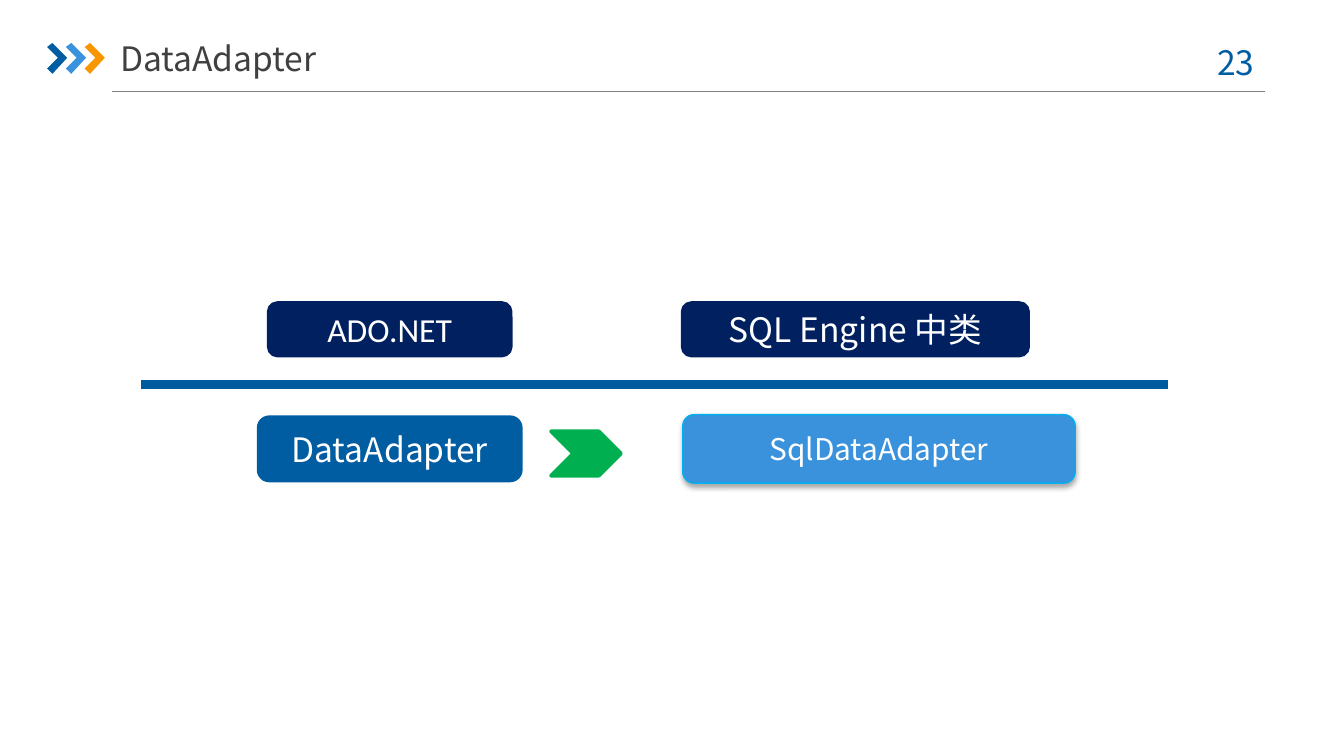
from pptx import Presentation
from pptx.dml.color import RGBColor
from pptx.enum.shapes import MSO_CONNECTOR as Conn, MSO_SHAPE as Shape
from pptx.enum.text import MSO_ANCHOR as Anchor, MSO_AUTO_SIZE as Auto, PP_ALIGN as Align
from pptx.oxml.ns import qn
from pptx.util import Inches, Pt
from lxml.etree import SubElement

# Content
TITLE = "DataAdapter"
PAGE = "23"
SANS, LATIN = "Noto Sans CJK SC", "Calibri"
HEX = {"blue": "005DA2", "sky": "3992DB", "orange": "F79600", "navy": "002060",
       "green": "00B050", "cyan": "00B0F0", "rule": "005B9E", "gray": "808080",
       "ink": "404040", "white": "FFFFFF"}

# Columns and row centres of the comparison, in inches
LEFT, RIGHT = 2.9, 5.08      # left column centre, right column edge
HEAD, BODY = 2.45, 3.34

# text, left, row centre, width, height, fill, line, line width, font, size
BOXES = [
    ("DataAdapter", LEFT - 1.95 / 2, BODY, 1.95, 0.47, "blue", "blue", 2, SANS, 18),
    ("SqlDataAdapter", RIGHT, BODY, 2.92, 0.51, "sky", "cyan", 0.75, SANS, 16),
    ("ADO.NET", LEFT - 1.8 / 2, HEAD, 1.8, 0.39, "navy", "navy", 2, LATIN, 18),
    ("SQL Engine 中类", RIGHT, HEAD, 2.57, 0.39, "navy", "navy", 2, SANS, 18),
]
RULES = [(0.83, 9.41, 0.68, "gray", 0.75), (1.05, 8.69, 2.86, "rule", 4.5)]
MARKS = ["blue", "sky", "orange"]
MARK = [(0, 0.03), (0.04, 0), (0.15, 0.11), (0.04, 0.23), (0, 0.19), (0.08, 0.11)]


def color(name):
    return RGBColor.from_string(HEX[name])


def write(shape, text, size, tint, font=SANS):
    frame = shape.text_frame
    frame.text = text
    frame.auto_size = Auto.NONE
    frame.vertical_anchor = Anchor.MIDDLE
    para = frame.paragraphs[0]
    para.alignment = Align.CENTER
    run = para.runs[0]
    run.font.size, run.font.name = Pt(size), font
    run.font.color.rgb = color(tint)
    SubElement(run.font._element, qn("a:ea"), typeface=font)


def place(shape, *box):
    shape.left, shape.top, shape.width, shape.height = map(Inches, box)


def paint(shape, fill, line=None, width=0):
    shape.shadow.inherit = False
    shape.fill.solid()
    shape.fill.fore_color.rgb = color(fill)
    if line:
        shape.line.color.rgb = color(line)
        shape.line.width = Pt(width)
    else:
        shape.line.fill.background()


def drop(shape):
    """Soft shadow straight below the shape."""
    effects = shape._element.spPr.find(qn("a:effectLst"))
    outer = SubElement(effects, qn("a:outerShdw"), blurRad=str(Pt(3.1)),
                       dist=str(Pt(1.8)), dir="5400000", rotWithShape="0")
    black = SubElement(outer, qn("a:srgbClr"), val="000000")
    SubElement(black, qn("a:alpha"), val="35000")


# Wide 16:9 slide
deck = Presentation()
deck.slide_width = Inches(10)
deck.slide_height = deck.slide_width * 9 // 16
slide = deck.slides.add_slide(deck.slide_layouts[5])
shapes = slide.shapes

# Title and page number
title = shapes.title
place(title, 0.77, 0.22, 1.71, 0.42)
write(title, TITLE, 18, "ink")
title.text_frame.margin_left = title.text_frame.margin_right = 0
title.text_frame.word_wrap = False
page = shapes.add_textbox(0, 0, 0, 0)
place(page, 8.83, 0.26, 0.73, 0.4)
write(page, PAGE, 18, "blue")

# Three marks before the title
for i, tint in enumerate(MARKS):
    x, y = 0.35 + 0.14 * i, 0.32
    points = [(Inches(x + dx), Inches(y + dy)) for dx, dy in MARK]
    pen = shapes.build_freeform(*points[0])
    pen.add_line_segments(points[1:], close=True)
    paint(pen.convert_to_shape(), tint)

# Comparison boxes
for text, x, mid, w, h, fill, line, width, font, size in BOXES:
    box = shapes.add_shape(Shape.ROUNDED_RECTANGLE, 0, 0, 0, 0)
    place(box, x, mid - h / 2, w, h)
    paint(box, fill, line, width)
    write(box, text, size, "white", font)
    if fill == "sky":
        drop(box)

# Arrow from the general class to the specific one
arrow = shapes.add_shape(Shape.CHEVRON, 0, 0, 0, 0)
place(arrow, 4.1, 3.21, 0.52, 0.33)
paint(arrow, "green", "green", 2)

# Rules under the title and between the rows
for x1, x2, y, tint, width in RULES:
    rule = shapes.add_connector(Conn.STRAIGHT, Inches(x1), Inches(y), Inches(x2), Inches(y))
    rule.line.color.rgb = color(tint)
    rule.line.width = Pt(width)
    SubElement(rule._element.spPr, qn("a:effectLst"))

deck.save("out.pptx")
